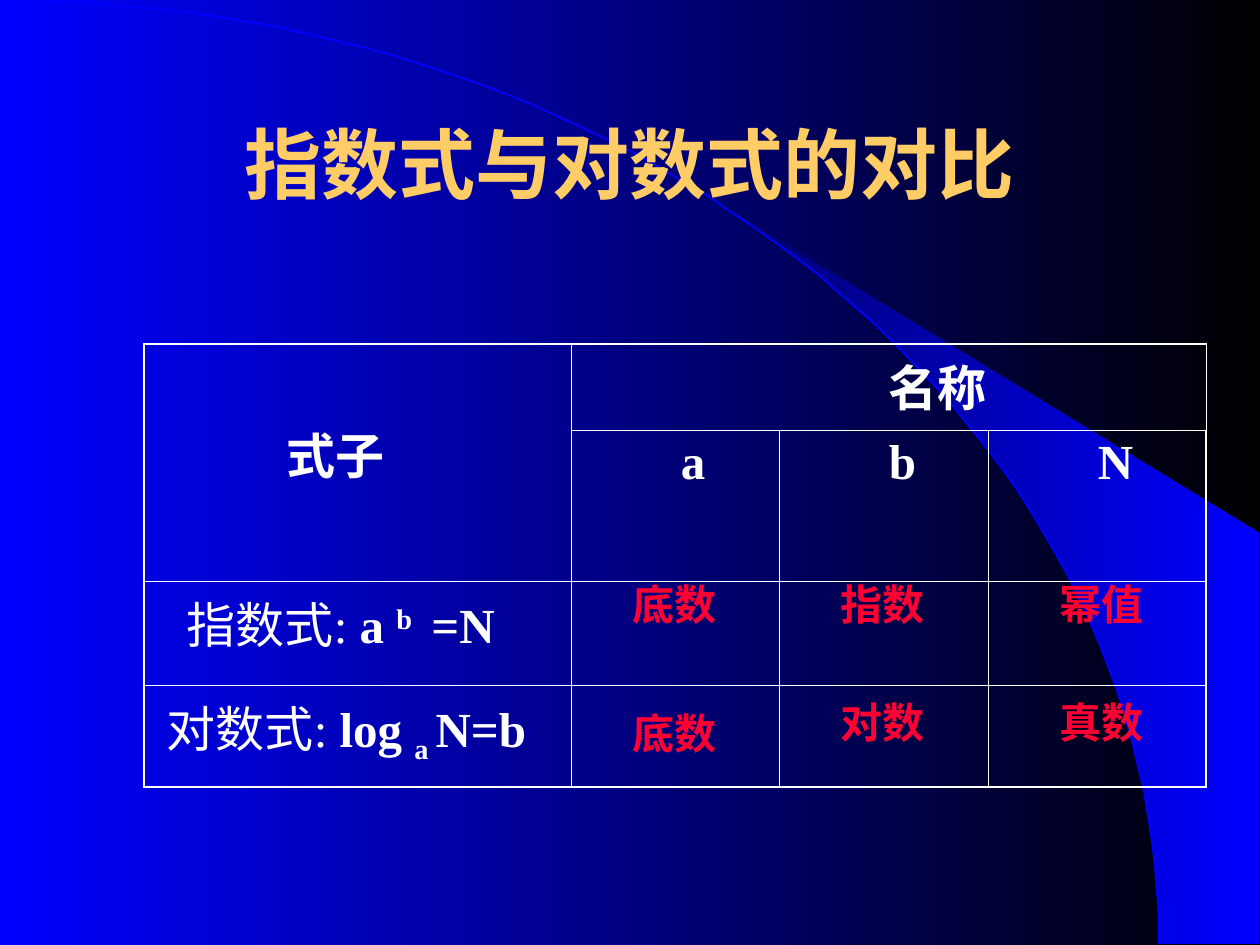
from lxml import etree
from pptx import Presentation
from pptx import util as u
from pptx.dml.color import RGBColor
from pptx.enum import text
from pptx.oxml import ns

SCALE = 914400 / 126
SLIDE = (1260, 945)
THEME = {
    "blue": "0000FF", "black": "000000", "navy": "000076",
    "title": "FFCC66", "body": "FFFFFF", "answer": "FF0033",
    "title_size": 44, "body_size": 28, "answer_size": 24, "small": 0.45, "outer": 1.08,
    "sans": "Arial", "serif": "Times New Roman",
}

TITLE = "指数式与对数式的对比"
TITLE_BOX = (94, 84, 1072, 158)
ARC = [(0, 0), (640, 0), (1159, 422), (1159, 944)]
RIBBON_EDGE = [(1259, 944), (1259, 533), (742, 218)]

TABLE_ORIGIN = (144, 344)
COLUMNS = [427, 208, 209, 218]
ROWS = [86, 149, 104, 102]
MERGES = [((0, 0), (1, 0)), ((0, 1), (0, 3))]
CELLS = [
    ((0, 0), 143, 74, [("式子", True, 0)]),
    ((0, 1), 318, 6, [("名称", True, 0)]),
    ((1, 1), 110, 6, [("a", True, 0)]),
    ((1, 2), 110, 6, [("b", True, 0)]),
    ((1, 3), 110, 6, [("N", True, 0)]),
    ((2, 0), 43, 6, [("指数式: ", False, 0), ("a ", True, 0), ("b ", True, 30), (" =N", True, 0)]),
    ((3, 0), 23, 6, [("对数式: ", False, 0), ("log ", True, 0), ("a ", True, -25), ("N=b", True, 0)]),
]
ANSWERS = [
    ("底数", 620, 572, 169, 140),
    ("指数", 828, 572, 189, 63),
    ("底数", 620, 701, 189, 140),
    ("对数", 828, 690, 198, 140),
    ("幂值", 1047, 572, 213, 63),
    ("真数", 1047, 690, 208, 63),
]


def px(value):
    return u.Emu(round(value * SCALE))


def color(name):
    return RGBColor.from_string(THEME[name])


def gradient(fill, start, end):
    fill.gradient()
    fill.gradient_angle = 0
    for stop, name in zip(fill.gradient_stops, (start, end)):
        stop.color.rgb = color(name)


def style(font, role, face):
    font.name = THEME[face]
    font.size = u.Pt(THEME[role + "_size"])
    font.color.rgb = color(role)


def curve(points, steps=60):
    weights = (1, 3, 3, 1)
    for step in range(steps + 1):
        t = step / steps
        yield tuple(
            sum(w * (1 - t) ** (3 - i) * t ** i * point[axis]
                for i, (w, point) in enumerate(zip(weights, points)))
            for axis in (0, 1))


def outline(page, points, close):
    builder = page.shapes.build_freeform(*points[0], scale=SCALE)
    builder.add_line_segments(points[1:], close=close)
    shape = builder.convert_to_shape()
    shape.shadow.inherit = False
    return shape


def add_backdrop(page):
    gradient(page.background.fill, "blue", "black")
    arc_points = list(curve(ARC))
    inner_edge = [point for point in arc_points if point[0] > RIBBON_EDGE[-1][0]]
    ribbon = outline(page, RIBBON_EDGE + inner_edge, True)
    gradient(ribbon.fill, "navy", "blue")
    ribbon.line.fill.background()
    arc = outline(page, arc_points, False)
    arc.fill.background()
    arc.line.color.rgb = color("blue")
    arc.line.width = u.Pt(1)


def add_title(page):
    title = page.shapes.title
    title.left, title.top, title.width, title.height = map(px, TITLE_BOX)
    frame = title.text_frame
    frame.text = TITLE
    frame.auto_size = text.MSO_AUTO_SIZE.NONE
    frame.vertical_anchor = text.MSO_ANCHOR.MIDDLE
    para = frame.paragraphs[0]
    para.alignment = text.PP_ALIGN.CENTER
    style(para.font, "title", "sans")
    para.font.bold = True
    page.shapes._spTree.append(title._element)


def add_borders(cell, row, column):
    properties = cell._tc.get_or_add_tcPr()
    edges = {
        "lnL": column == 0, "lnR": column == len(COLUMNS) - 1,
        "lnT": row == 0, "lnB": row == len(ROWS) - 1,
    }
    for tag, is_outer in edges.items():
        width = THEME["outer" if is_outer else "small"]
        line = etree.SubElement(properties, ns.qn("a:" + tag), w=str(u.Pt(width)))
        fill = etree.SubElement(line, ns.qn("a:solidFill"))
        etree.SubElement(fill, ns.qn("a:srgbClr"), val=THEME["body"])


def add_comparison(page):
    frame = page.shapes.add_table(
        len(ROWS), len(COLUMNS), *map(px, TABLE_ORIGIN + (sum(COLUMNS), sum(ROWS))))
    table = frame.table
    table.first_row = table.horz_banding = False
    for column, width in zip(table.columns, COLUMNS):
        column.width = px(width)
    for row, height in zip(table.rows, ROWS):
        row.height = px(height)
    for row in range(len(ROWS)):
        for column in range(len(COLUMNS)):
            cell = table.cell(row, column)
            add_borders(cell, row, column)
            cell.fill.background()
    for first, last in MERGES:
        table.cell(*first).merge(table.cell(*last))
    for place, left, top, spans in CELLS:
        cell = table.cell(*place)
        cell.margin_left, cell.margin_top = px(left), px(top)
        para = cell.text_frame.paragraphs[0]
        style(para.font, "body", "serif")
        for words, bold, baseline in spans:
            span = para.add_run()
            span.text = words
            span.font.bold = bold
            if baseline:
                span._r.get_or_add_rPr().set("baseline", str(baseline * 1000))


def add_answers(page):
    for words, *bounds in ANSWERS:
        box = page.shapes.add_textbox(*map(px, bounds))
        frame = box.text_frame
        frame.word_wrap = True
        frame.auto_size = text.MSO_AUTO_SIZE.SHAPE_TO_FIT_TEXT
        frame.text = words
        para = frame.paragraphs[0]
        style(para.font, "answer", "sans")
        para.font.bold = True


def main():
    deck = Presentation()
    deck.slide_width, deck.slide_height = map(px, SLIDE)
    page = deck.slides.add_slide(deck.slide_layouts[5])
    add_backdrop(page)
    add_title(page)
    add_comparison(page)
    add_answers(page)
    deck.save("out.pptx")


if __name__ == "__main__":
    main()
